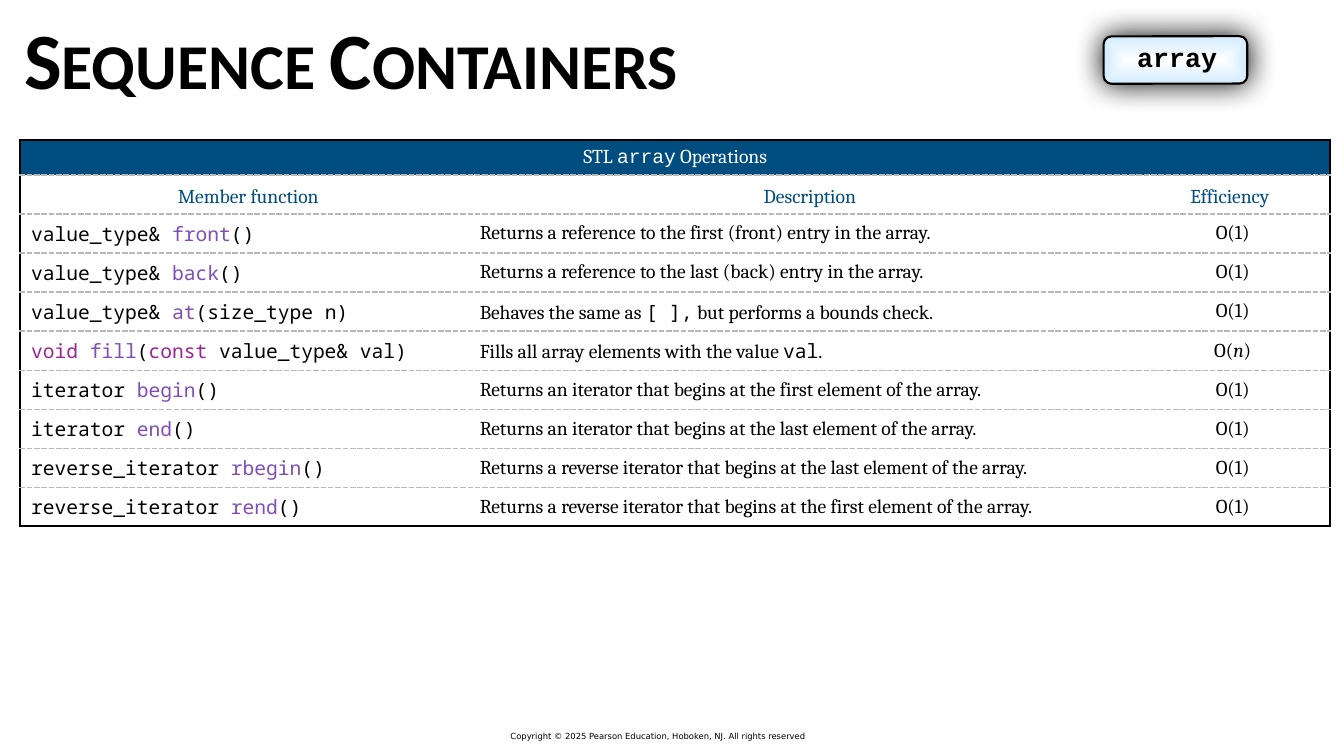
"""Build the slide that lists the STL array operations."""
from dataclasses import dataclass

from lxml import etree
from pptx import Presentation
from pptx.dml.color import RGBColor
from pptx.enum.shapes import MSO_SHAPE
from pptx.enum.text import MSO_ANCHOR, MSO_AUTO_SIZE, PP_ALIGN
from pptx.oxml import parse_xml
from pptx.oxml.ns import nsdecls
from pptx.util import Inches, Pt

CENTER, LEFT = PP_ALIGN.CENTER, PP_ALIGN.LEFT
MIDDLE, BOTTOM = MSO_ANCHOR.MIDDLE, MSO_ANCHOR.BOTTOM
ROUNDED = MSO_SHAPE.ROUNDED_RECTANGLE
NO_AUTOFIT = MSO_AUTO_SIZE.NONE


@dataclass(frozen=True)
class Theme:
    black: str = "000000"
    white: str = "FFFFFF"
    blue: str = "004D80"
    purple: str = "804EB7"
    magenta: str = "9B2393"
    grid: str = "B8B8B8"
    pale_blue: str = "D1EBFE"
    serif: str = "Cambria"
    mono: str = "Noto Sans Mono"
    courier: str = "Courier New"
    heading: str = "Calibri"
    footer: str = "DejaVu Sans"
    title_size: int = 114
    badge_size: int = 38
    table_size: int = 28
    footer_size: int = 12


theme = Theme()
STYLES = {
    "text": (theme.serif, theme.black),
    "variable": (theme.serif, theme.black),
    "code": (theme.mono, theme.black),
    "name": (theme.mono, theme.purple),
    "keyword": (theme.mono, theme.magenta),
    "header": (theme.serif, theme.blue),
    "banner": (theme.serif, theme.white),
    "banner code": (theme.courier, theme.white),
}


def style_font(font, face, size, color, bold=False):
    font.name, font.size, font.bold = face, Pt(size), bold
    font.color.rgb = RGBColor.from_string(color)


def fill_cell(cell, runs, align, anchor, margins, hanging):
    cell.vertical_anchor = anchor
    cell.margin_left, cell.margin_top, cell.margin_right, cell.margin_bottom = map(Inches, margins)
    paragraph = cell.text_frame.paragraphs[0]
    paragraph.alignment = align
    if hanging:
        properties = paragraph._p.get_or_add_pPr()
        properties.set("marL", str(Inches(0.44)))
        properties.set("indent", str(Inches(-0.33)))
    for words, style in runs:
        run = paragraph.add_run()
        run.text = words
        face, color = STYLES[style]
        style_font(run.font, face, theme.table_size, color)
        run.font.italic = style == "variable"


prs = Presentation()
prs.slide_width, prs.slide_height = Inches(26.67), Inches(15)
slide = prs.slides.add_slide(prs.slide_layouts[5])

title = slide.shapes.title
title.left, title.top, title.width, title.height = Inches(0.4), Inches(0), Inches(23.6), Inches(2.29)
title_frame = title.text_frame
title_frame.text = "Sequence Containers"
title_frame.auto_size = NO_AUTOFIT
title_frame.vertical_anchor = MIDDLE
title_frame.margin_left = title_frame.margin_right = Inches(0.08)
title_frame.margin_top = title_frame.margin_bottom = Inches(0.08)
title_frame.paragraphs[0].alignment = LEFT
title_run = title_frame.paragraphs[0].runs[0]
style_font(title_run.font, theme.heading, theme.title_size, theme.black, bold=True)
title_properties = title_run._r.get_or_add_rPr()
title_properties.set("cap", "small")
title_properties.find("{*}solidFill").addnext(parse_xml(
    f'<a:effectLst {nsdecls("a")}><a:outerShdw blurRad="50800" dist="50800" dir="2700000">'
    f'<a:srgbClr val="{theme.black}"><a:alpha val="50000"/></a:srgbClr></a:outerShdw></a:effectLst>'))

banner = [("STL ", "banner"), ("array", "banner code"), (" Operations", "banner")]
headers = ["Member function", "Description", "Efficiency"]
constant = [("O(1)", "text")]
linear = [("O(", "text"), ("n", "variable"), (")", "text")]
simple_operations = [
    ("value_type& ", "front", "()", "Returns a reference to the first (front) entry in the array."),
    ("value_type& ", "back", "()", "Returns a reference to the last (back) entry in the array."),
    ("iterator ", "begin", "()", "Returns an iterator that begins at the first element of the array."),
    ("iterator ", "end", "()", "Returns an iterator that begins at the last element of the array."),
    ("reverse_iterator ", "rbegin", "()",
     "Returns a reverse iterator that begins at the last element of the array."),
    ("reverse_iterator ", "rend", "()",
     "Returns a reverse iterator that begins at the first element of the array."),
]
operations = [
    ([(kind, "code"), (name, "name"), (arguments, "code")], [(description, "text")], constant)
    for kind, name, arguments, description in simple_operations
]
operations[2:2] = [
    ([("value_type& ", "code"), ("at", "name"), ("(size_type n)", "code")],
     [("Behaves the same as ", "text"), ("[ ],", "code"), (" but performs a bounds check.", "text")],
     constant),
    ([("void ", "keyword"), ("fill", "name"), ("(", "code"), ("const", "keyword"),
      (" value_type& val)", "code")],
     [("Fills all array elements with the value ", "text"), ("val", "code"), (".", "text")],
     linear),
]

column_widths = [9.01, 13.39, 3.28, 0.32]
row_count, column_count = len(operations) + 2, len(column_widths)
table = slide.shapes.add_table(
    row_count, column_count, Inches(0.4), Inches(2.77), Inches(26), Inches(7.7)).table
table.first_row = table.horz_banding = False
for column, width in zip(table.columns, column_widths):
    column.width = Inches(width)
for index, row in enumerate(table.rows):
    row.height = Inches(0.775 if index else 0.7)

for r in range(row_count):
    for c in range(column_count):
        cell = table.cell(r, c)
        cell.fill.solid()
        cell.fill.fore_color.rgb = RGBColor.from_string(theme.white if r else theme.blue)
        outer_edges = {"L": c == 0, "R": c == column_count - 1 or r == 0,
                       "T": r == 0, "B": r == row_count - 1}
        borders = [side for side in "LRTB" if outer_edges[side] or side in "TB"]
        for position, side in enumerate(borders):
            outer = outer_edges[side]
            color, points, dash = (theme.black, 3, "solid") if outer else (theme.grid, 2, "dash")
            cell._tc.get_or_add_tcPr().insert(position, parse_xml(
                f'<a:ln{side} {nsdecls("a")} w="{Pt(points)}"><a:solidFill>'
                f'<a:srgbClr val="{color}"/></a:solidFill><a:prstDash val="{dash}"/></a:ln{side}>'))

table.cell(0, 0).merge(table.cell(0, column_count - 1))
fill_cell(table.cell(0, 0), banner, CENTER, MIDDLE, [0.07] * 4, False)
for c, header in enumerate(headers):
    margins = [0 if c else 0.11, 0.11, 0.07, 0.11]
    fill_cell(table.cell(1, c), [(header, "header")], CENTER, BOTTOM, margins, False)
    for r, operation in enumerate(operations, start=2):
        align = CENTER if header == "Efficiency" else LEFT
        fill_cell(table.cell(r, c), operation[c], align, MIDDLE, margins, True)

badge = slide.shapes.add_group_shape()
plate = badge.shapes.add_shape(ROUNDED, Inches(21.9), Inches(0.72), Inches(2.85), Inches(0.94))
plate.adjustments[0] = 0.164
plate.rotation = 359.9
plate.line.color.rgb = RGBColor.from_string(theme.black)
plate.line.width = Pt(3)
plate.fill.background()
plate_properties = plate._element.spPr
plate_properties.replace(plate_properties.find("{*}noFill"), parse_xml(
    f'<a:gradFill {nsdecls("a")} rotWithShape="1"><a:gsLst>'
    f'<a:gs pos="0"><a:srgbClr val="{theme.white}"/></a:gs>'
    f'<a:gs pos="100000"><a:srgbClr val="{theme.pale_blue}"/></a:gs></a:gsLst>'
    '<a:path path="rect"><a:fillToRect l="50000" t="50000" r="50000" b="50000"/></a:path></a:gradFill>'))
plate.shadow.inherit = False
glow = etree.SubElement(plate_properties.find("{*}effectLst"), plate_properties.find(
    "{*}effectLst").tag.replace("effectLst", "outerShdw"), blurRad=str(Pt(43)), dist="0", dir="0")
glow.append(parse_xml(f'<a:srgbClr {nsdecls("a")} val="{theme.black}"/>'))

container = badge.shapes.add_textbox(Inches(21.89), Inches(0.63), Inches(2.94), Inches(1))
copyright_line = slide.shapes.add_textbox(Inches(10.13), Inches(14.49), Inches(6.77), Inches(0.24))
labels = [
    (container, "array", CENTER, 0, theme.courier, theme.badge_size, True),
    (copyright_line, "Copyright © 2025 Pearson Education, Hoboken, NJ. All rights reserved",
     LEFT, 0.02, theme.footer, theme.footer_size, False),
]
for label, words, align, vertical_margin, face, size, bold in labels:
    frame = label.text_frame
    frame.text = words
    frame.word_wrap = True
    frame.vertical_anchor = MIDDLE
    frame.margin_left = frame.margin_right = Inches(0)
    frame.margin_top = frame.margin_bottom = Inches(vertical_margin)
    frame.paragraphs[0].alignment = align
    style_font(frame.paragraphs[0].runs[0].font, face, size, theme.black, bold)
container.text_frame.paragraphs[0].line_spacing = Pt(46)

prs.save("out.pptx")
